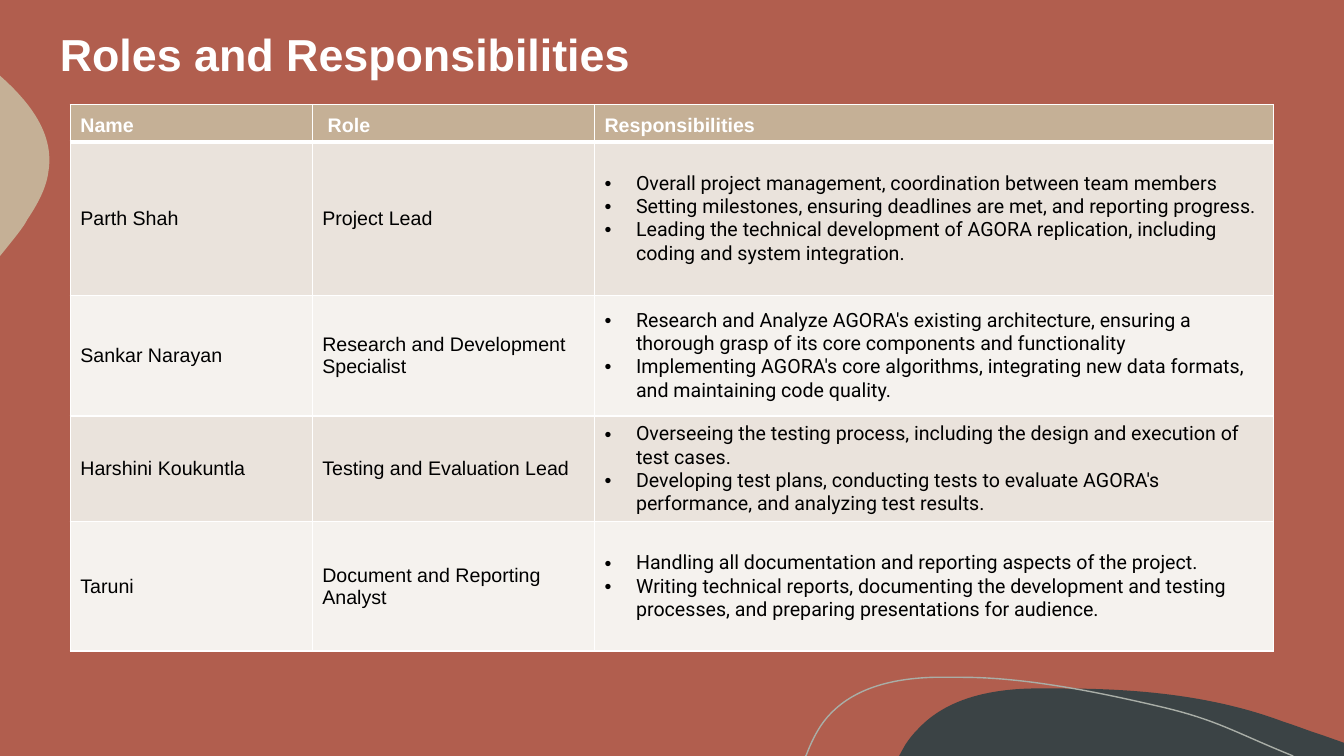
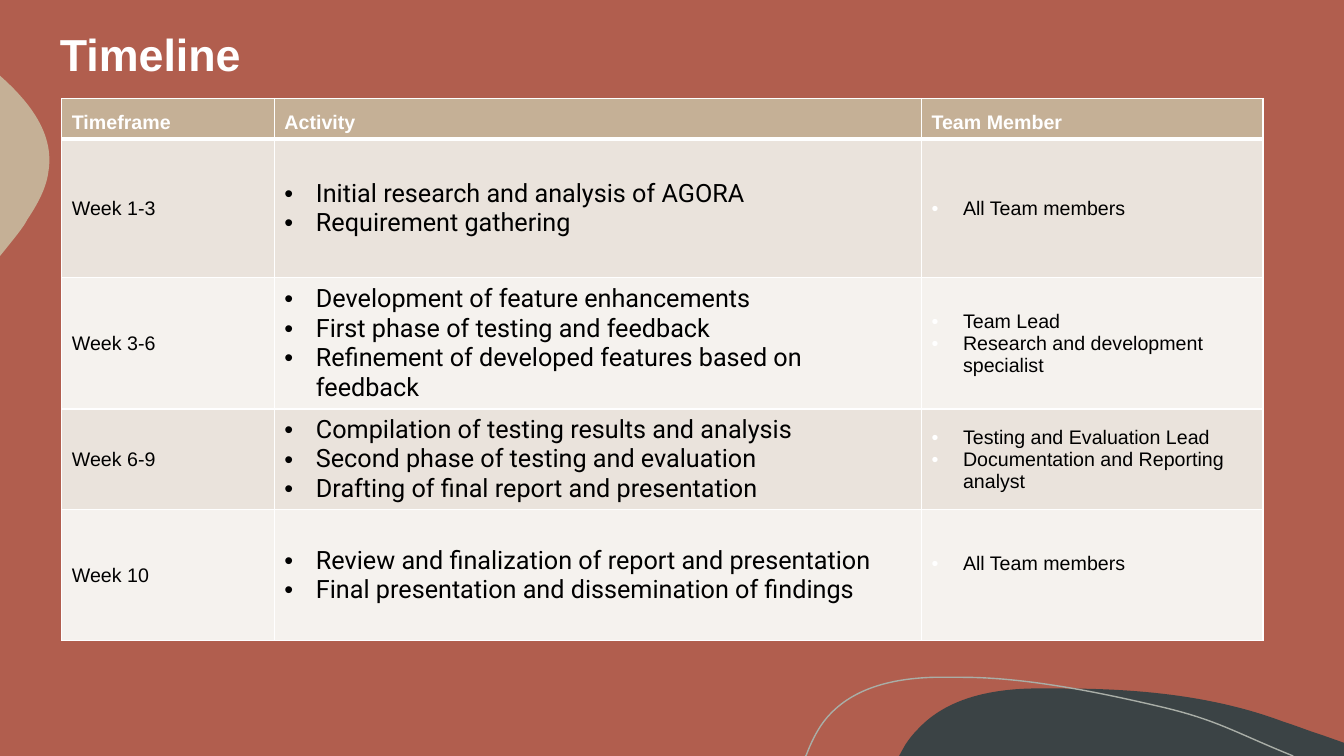
"""Build the roles and timeline slides of a project plan."""
from lxml import etree
from pptx import Presentation
from pptx.dml.color import RGBColor
from pptx.enum.text import MSO_ANCHOR
from pptx.oxml.ns import qn
from pptx.util import Pt

MIDDLE, BOTTOM = MSO_ANCHOR.MIDDLE, MSO_ANCHOR.BOTTOM

RUST = RGBColor(0xB1, 0x5E, 0x4E)
TAN = RGBColor(0xC5, 0xB0, 0x96)
SLATE = RGBColor(0x3B, 0x43, 0x45)
SAGE = RGBColor(0xA9, 0xAE, 0xA7)
BEIGE = RGBColor(0xEA, 0xE3, 0xDC)
CREAM = RGBColor(0xF5, 0xF2, 0xEE)
WHITE = RGBColor(0xFF, 0xFF, 0xFF)
BLACK = RGBColor(0, 0, 0)

SANS, BODY = "Arial", "Roboto"
INDENT = Pt(22.5)

HILL = [
    (758.9, 491.8),
    (812.2, 491.8, 866.9, 496.8, 916.6, 515.5),
    (925.9, 518.4, 934.6, 522, 943.9, 524.9),
    (960, 530.6), (960, 540), (642.2, 540), (646.6, 532.1),
    (649.4, 527.8, 652.3, 524.2, 655.9, 520.6),
    (676.1, 499, 707, 492.5, 736.6, 491.8),
    (743.8, 491.8, 751, 491.8, 758.9, 491.8),
]
LEAF = [
    (0, 54), (0.7, 54.7),
    (21.6, 73.4, 38.9, 95.8, 34.6, 122.4),
    (33.1, 134.6, 26.6, 146.2, 19.4, 157),
    (17.3, 161.3, 12.2, 167.8, 5.8, 175.7),
    (0, 182.9),
]
ARC = [
    (575.3, 540), (576, 539.3),
    (580.3, 527.8, 586.1, 517, 593.3, 509.8),
    (612, 490.3, 640.1, 484.6, 666.7, 483.8),
    (687.6, 483.8),
    (735.8, 483.8, 792, 496.1, 831.6, 505.4),
    (870.5, 514.8, 882.7, 523.4, 923.8, 540),
]

ROLES = [
    ["Name", " Role", "Responsibilities"],
    ["Parth Shah", "Project Lead", [
        "Overall project management, coordination between team members",
        "Setting milestones, ensuring deadlines are met, and reporting progress.",
        "Leading the technical development of AGORA replication, including "
        "coding and system integration."]],
    ["Sankar Narayan", "Research and Development Specialist", [
        "Research and Analyze AGORA's existing architecture, ensuring a "
        "thorough grasp of its core components and functionality",
        "Implementing AGORA's core algorithms, integrating new data formats, "
        "and maintaining code quality."]],
    ["Harshini Koukuntla", "Testing and Evaluation Lead", [
        "Overseeing the testing process, including the design and execution "
        "of test cases.",
        "Developing test plans, conducting tests to evaluate AGORA's "
        "performance, and analyzing test results."]],
    ["Taruni", "Document and Reporting Analyst", [
        "Handling all documentation and reporting aspects of the project.",
        "Writing technical reports, documenting the development and testing "
        "processes, and preparing presentations for audience."]],
]
WEEKS = [
    ["Timeframe", "Activity", "Team Member"],
    ["Week 1-3",
     ["Initial research and analysis of AGORA", "Requirement gathering"],
     ["All Team members"]],
    ["Week 3-6",
     ["Development of feature enhancements",
      "First phase of testing and feedback",
      "Refinement of developed features based on feedback"],
     ["Team Lead", "Research and development specialist"]],
    ["Week 6-9",
     ["Compilation of testing results and analysis",
      "Second phase of testing and evaluation",
      "Drafting of final report and presentation"],
     ["Testing and Evaluation Lead", "Documentation and Reporting analyst"]],
    ["Week 10",
     ["Review and finalization of report and presentation",
      "Final presentation and dissemination of findings"],
     ["All Team members"]],
]

PLAIN = (14, SANS, BLACK)
ROLE_STYLES = [PLAIN, PLAIN, (14, BODY, BLACK)]
WEEK_STYLES = [PLAIN, (18, BODY, BLACK), (14, SANS, WHITE)]


def bend(shape, path):
    lines = list(shape._element.iter(qn("a:lnTo")))
    for line, step in zip(lines, path[1:]):
        if len(step) == 2:
            continue
        line.clear()
        curve = etree.Element(qn("a:cubicBezTo"))
        for x, y in zip(step[::2], step[1::2]):
            etree.SubElement(curve, qn("a:pt"), x=str(Pt(x) - shape.left),
                             y=str(Pt(y) - shape.top))
        line.getparent().replace(line, curve)


def add_curve(slide, path, fill=None, line=None):
    dots = [(Pt(step[-2]), Pt(step[-1])) for step in path]
    pen = slide.shapes.build_freeform(*dots[0])
    pen.add_line_segments(dots[1:], close=fill is not None)
    shape = pen.convert_to_shape()
    bend(shape, path)
    shape.shadow.inherit = False
    if fill is None:
        shape.fill.background()
    else:
        shape.fill.solid()
        shape.fill.fore_color.rgb = fill
    if line is None:
        shape.line.fill.background()
    else:
        shape.line.color.rgb = line
        shape.line.width = Pt(1)


def add_run(para, text, size, font, color, bold=False):
    run = para.add_run()
    run.text = text
    run.font.size = Pt(size)
    run.font.name = font
    run.font.bold = bold
    run.font.color.rgb = color


def add_title(slide, text):
    box = slide.shapes.add_textbox(Pt(35.6), Pt(18.8), Pt(867.6), Pt(43.9))
    frame = box.text_frame
    frame.word_wrap = True
    frame.vertical_anchor = MIDDLE
    para = frame.paragraphs[0]
    para.line_spacing = 0.9
    add_run(para, text, 32, SANS, WHITE, True)


def add_bullet(para, color):
    props = para._p.get_or_add_pPr()
    props.set("marL", str(INDENT))
    props.set("indent", str(-INDENT))
    tint = etree.SubElement(props, qn("a:buClr"))
    etree.SubElement(tint, qn("a:srgbClr"), val=str(color))
    etree.SubElement(props, qn("a:buFont"), typeface=SANS)
    etree.SubElement(props, qn("a:buChar"), char="•")


def set_edges(cell, top, bottom):
    props = cell._tc.get_or_add_tcPr()
    edges = [("L", 1), ("R", 1), ("T", top), ("B", bottom)]
    for i, (side, width) in enumerate(edges):
        edge = etree.Element(qn("a:ln" + side), w=str(Pt(width)))
        fill = etree.SubElement(edge, qn("a:solidFill"))
        etree.SubElement(fill, qn("a:srgbClr"), val=str(WHITE))
        props.insert(i, edge)


def fill_cell(cell, value, row, style):
    head = row == 0
    cell.fill.solid()
    cell.fill.fore_color.rgb = TAN if head else BEIGE if row % 2 else CREAM
    cell.vertical_anchor = BOTTOM if head else MIDDLE
    set_edges(cell, 3 if row == 1 else 1, 3 if head else 1)
    frame = cell.text_frame
    if head:
        add_run(frame.paragraphs[0], value, 14, SANS, WHITE, True)
        return
    size, font, dot = style
    listed = isinstance(value, list)
    for i, text in enumerate(value if listed else [value]):
        para = frame.add_paragraph() if i else frame.paragraphs[0]
        if listed:
            add_bullet(para, dot)
        add_run(para, text, size, font, BLACK)


def add_grid(slide, left, top, widths, heights, data, styles):
    frame = slide.shapes.add_table(
        len(heights), len(widths), Pt(left), Pt(top),
        Pt(sum(widths)), Pt(sum(heights)))
    table = frame.table
    for col, width in zip(table.columns, widths):
        col.width = Pt(width)
    for r, (height, values) in enumerate(zip(heights, data)):
        table.rows[r].height = Pt(height)
        for c, (value, style) in enumerate(zip(values, styles)):
            fill_cell(table.cell(r, c), value, r, style)
    return table


def add_slide(deck, title):
    slide = deck.slides.add_slide(deck.slide_layouts[6])
    add_curve(slide, HILL, fill=SLATE)
    add_curve(slide, LEAF, fill=TAN)
    add_curve(slide, ARC, line=SAGE)
    add_title(slide, title)
    return slide


def main():
    deck = Presentation()
    deck.slide_width, deck.slide_height = Pt(960), Pt(540)
    back = deck.slide_master.background.fill
    back.solid()
    back.fore_color.rgb = RUST

    slide = add_slide(deck, "Roles and Responsibilities")
    add_grid(slide, 50.2, 74.8, [172.8, 201.6, 485],
             [26.6, 109.4, 86.4, 75.6, 92.2], ROLES, ROLE_STYLES)

    slide = add_slide(deck, "Timeline")
    table = add_grid(slide, 44.1, 70.3, [151.9, 462.2, 244],
                     [28.8, 99.4, 93.6, 72, 93.6], WEEKS, WEEK_STYLES)
    table.cell(4, 2).margin_bottom = Pt(19.6)

    deck.save("out.pptx")


if __name__ == "__main__":
    main()
